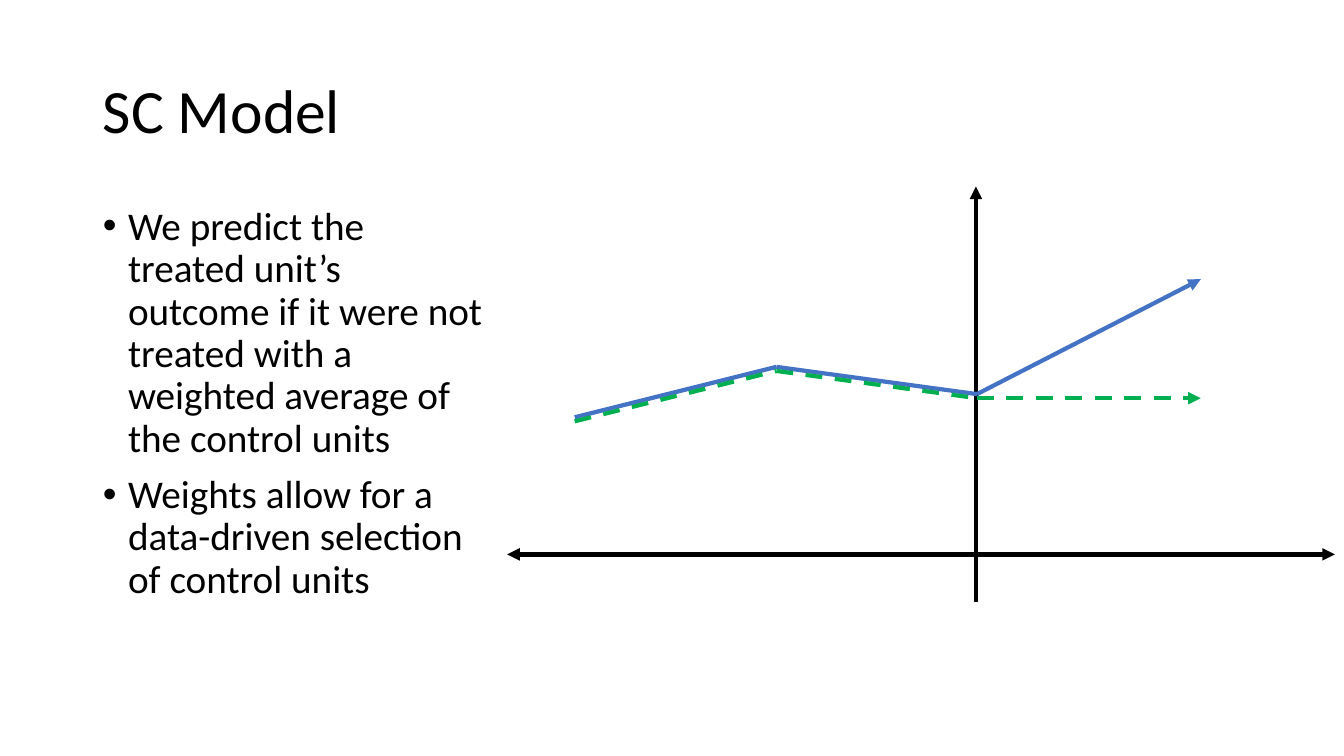
from itertools import pairwise

from lxml import etree
from pptx import Presentation
from pptx.dml.color import RGBColor
from pptx.enum.dml import MSO_LINE
from pptx.enum.shapes import MSO_CONNECTOR
from pptx.enum.text import MSO_ANCHOR, MSO_AUTO_SIZE, PP_ALIGN
from pptx.oxml.ns import qn
from pptx.util import Pt

STRAIGHT = MSO_CONNECTOR.STRAIGHT
DASH = MSO_LINE.DASH
LEFT = PP_ALIGN.LEFT
MIDDLE, TOP = MSO_ANCHOR.MIDDLE, MSO_ANCHOR.TOP
NO_FIT = MSO_AUTO_SIZE.NONE

EMU_PER_PX = 9144
BLACK, BLUE, GREEN = "000000", "4472C4", "00B050"
FONT = "Calibri"
BULLETS = [
    "We predict the treated unit’s outcome if it were not treated "
    "with a weighted average of the control units",
    "Weights allow for a data-driven selection of control units",
]


def px(length):
    return length * EMU_PER_PX


def color(value):
    return RGBColor.from_string(value)


def apply(target, values):
    for name, value in values.items():
        setattr(target, name, value)


def place(shape, box):
    apply(shape, dict(zip(("left", "top", "width", "height"), map(px, box))))


def write(para, text, size):
    apply(para, {"alignment": LEFT, "line_spacing": 0.9})
    span = para.add_run()
    span.text = text
    apply(span.font, {"name": FONT, "size": Pt(size)})
    span.font.color.rgb = color(BLACK)


def add_bullet(para, indent):
    props = para._p.get_or_add_pPr()
    props.set("marL", str(px(indent)))
    props.set("indent", str(-px(indent)))
    etree.SubElement(props, qn("a:buFont"), typeface="Arial")
    etree.SubElement(props, qn("a:buChar"), char="•")


def add_title(page, box):
    title = page.shapes.title
    place(title, box)
    apply(title.text_frame, {"vertical_anchor": MIDDLE, "word_wrap": True, "auto_size": NO_FIT})
    write(title.text_frame.paragraphs[0], "SC Model", 44)


def add_body(page, box):
    body = page.placeholders[1]
    place(body, box)
    frame = body.text_frame
    apply(frame, {"vertical_anchor": TOP, "word_wrap": True, "auto_size": NO_FIT})
    for index, text in enumerate(BULLETS):
        para = frame.add_paragraph() if index else frame.paragraphs[0]
        add_bullet(para, 25)
        para.space_before = Pt(10 if index else 0)
        write(para, text, 28)


def add_line(group, box, start, end, line_color, arrows=(), dash=None):
    left, top = box[:2]
    ends = [px(left + start[0]), px(top + start[1]), px(left + end[0]), px(top + end[1])]
    connector = group.shapes.add_connector(STRAIGHT, *ends)
    connector.line.color.rgb = color(line_color)
    apply(connector.line, {"width": Pt(3), "dash_style": dash})
    outline = connector.line._get_or_add_ln()
    for arrow in arrows:
        etree.SubElement(outline, qn(f"a:{arrow}"), type="triangle")
    etree.SubElement(connector._element.spPr, qn("a:effectLst"))


def add_axes(page, box):
    width, height = box[2:]
    origin_x, origin_y = 465, 365
    group = page.shapes.add_group_shape()
    add_line(group, box, (origin_x, height), (origin_x, 0), BLACK, ["tailEnd"])
    add_line(group, box, (width, origin_y), (0, origin_y), BLACK, ["headEnd", "tailEnd"])


def add_trend(page, box, points, line_color, dash=None):
    group = page.shapes.add_group_shape()
    for start, end in pairwise(points):
        arrows = ["tailEnd"] if end == points[-1] else []
        add_line(group, box, start, end, line_color, arrows, dash)


def add_diagram(page, box):
    add_axes(page, box)
    shared = [(67, 229), (267, 179), (466, 206)]
    control = [(x, y + 4) for x, y in shared]
    add_trend(page, box, shared + [(688, 92)], BLUE)
    add_trend(page, box, control + [(688, control[-1][1])], GREEN, DASH)


def main():
    deck = Presentation()
    apply(deck, {"slide_width": px(1333), "slide_height": px(750)})
    page = deck.slides.add_slide(deck.slide_layouts[1])
    add_title(page, (92, 40, 1150, 145))
    add_body(page, (92, 200, 402, 476))
    add_diagram(page, (503, 185, 821, 412))
    deck.save("out.pptx")


if __name__ == "__main__":
    main()
